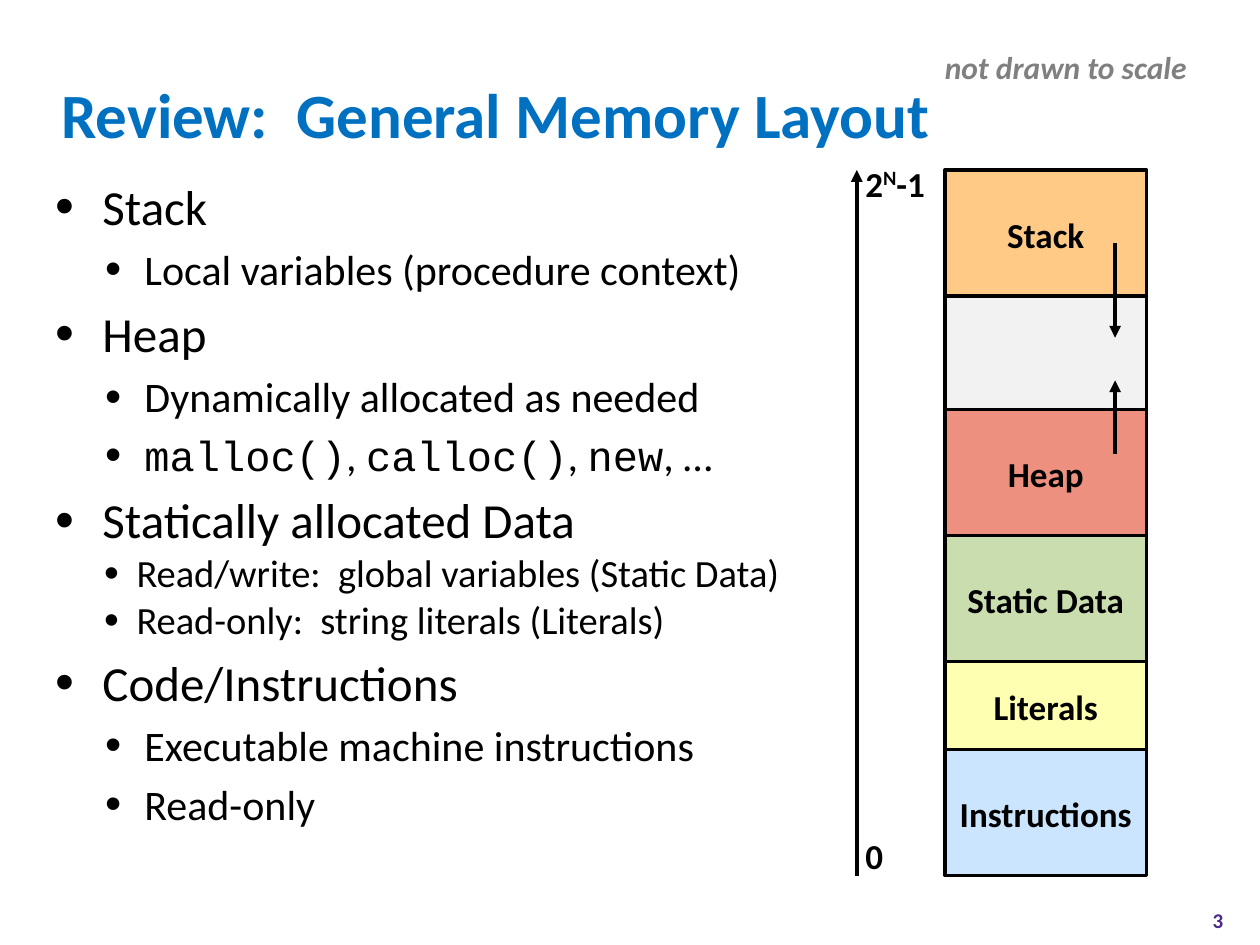
from lxml import etree
from pptx import Presentation
from pptx.dml.color import RGBColor
from pptx.enum.shapes import MSO_CONNECTOR, MSO_SHAPE
from pptx.enum.text import MSO_ANCHOR, PP_ALIGN
from pptx.oxml.ns import qn
from pptx.util import Pt

LINE = MSO_CONNECTOR.STRAIGHT
RECT = MSO_SHAPE.RECTANGLE
TOP, MID = MSO_ANCHOR.TOP, MSO_ANCHOR.MIDDLE
LEFT, MIDDLE = PP_ALIGN.LEFT, PP_ALIGN.CENTER
SANS, MONO = "Calibri", "Courier New"
BLACK = "000000"

LEFT_X, TOP_Y, WIDTH = 540, 97.2, 115.2
REGIONS = [
    ("Stack", 72, "FF950E", 50),
    ("", 64.8, "F2F2F2", 100),
    ("Heap", 72, "DC2300", 50),
    ("Static Data", 72, "94BD5E", 50),
    ("Literals", 50.4, "FFFF66", 50),
    ("Instructions", 72, "99CCFF", 50),
]

# Each style holds size, left margin, hanging indent and line spacing.
STYLES = {
    "head": (28, 27, 27, 1),
    "item": (24, 51, 22.5, 1),
    "tight": (22, 46.5, 18.5, 0.85),
}
POINTS = [
    ("head", ["Stack"]),
    ("item", ["Local variables (procedure context)"]),
    ("head", ["Heap"]),
    ("item", ["Dynamically allocated as needed"]),
    ("item", ["malloc()", ", ", "calloc()", ", ", "new", ", …"]),
    ("head", ["Statically allocated Data"]),
    ("tight", ["Read/write:  global variables (Static Data)"]),
    ("tight", ["Read-only:  string literals (Literals)"]),
    ("head", ["Code/Instructions"]),
    ("item", ["Executable machine instructions"]),
    ("item", ["Read-only"]),
]
CODE = {"malloc()", "calloc()", "new"}


def rgb(code):
    """Turn a hex string into a colour."""
    return RGBColor.from_string(code)


def sub(parent, tag, **attrs):
    """Append a DrawingML element with attributes."""
    node = etree.SubElement(parent, qn("a:" + tag))
    for key, value in attrs.items():
        node.set(key, str(value))
    return node


def write(para, text, size=20, color=BLACK, font=SANS, bold=True,
          italic=False, raised=0):
    """Add a formatted run to a paragraph."""
    run = para.add_run()
    run.text = text
    run.font.size = Pt(size)
    run.font.name = font
    run.font.bold = bold
    run.font.italic = italic
    run.font.color.rgb = rgb(color)
    if raised:
        run.font._element.set("baseline", str(raised * 1000))


def setup(frame, anchor=TOP, align=LEFT, wrap=False, inset=3.6):
    """Set up a text frame and return its first paragraph."""
    frame.word_wrap = wrap
    frame.vertical_anchor = anchor
    frame.margin_top = Pt(inset)
    para = frame.paragraphs[0]
    para.alignment = align
    return para


def box(slide, left, top, width, height, **layout):
    """Add a text box and return its first paragraph."""
    shape = slide.shapes.add_textbox(Pt(left), Pt(top), Pt(width), Pt(height))
    return setup(shape.text_frame, **layout)


def region(slide, top, name, height, color, alpha):
    """Add one block of the memory column."""
    shape = slide.shapes.add_shape(
        RECT, Pt(LEFT_X), Pt(top), Pt(WIDTH), Pt(height))
    shape.shadow.inherit = False
    shape.fill.solid()
    shape.fill.fore_color.rgb = rgb(color)
    if alpha < 100:
        fill = shape._element.spPr.find(qn("a:solidFill"))
        sub(fill[0], "alpha", val=alpha * 1000)
    shape.line.color.rgb = rgb(BLACK)
    shape.line.width = Pt(2)
    if name:
        para = setup(shape.text_frame, MID, MIDDLE, inset=5)
        write(para, name)


def arrow(slide, x, start, end):
    """Add a vertical arrow pointing to its end."""
    line = slide.shapes.add_connector(LINE, Pt(x), Pt(start), Pt(x), Pt(end))
    line.line.color.rgb = rgb(BLACK)
    line.line.width = Pt(2.25)
    sub(line.line._get_or_add_ln(), "tailEnd", type="triangle")
    sub(line._element.spPr, "effectLst")


def bullet(para, style, parts, first):
    """Fill a paragraph as a bullet in the named style."""
    size, margin, hang, spacing = STYLES[style]
    props = para._p.get_or_add_pPr()
    props.set("marL", str(Pt(margin)))
    props.set("indent", str(-Pt(hang)))
    sub(sub(props, "buClr"), "srgbClr", val=BLACK)
    sub(props, "buSzPct", val=110000)
    sub(props, "buFont", typeface="Arial")
    sub(props, "buChar", char="•")
    para.level = 0 if style == "head" else 1
    para.line_spacing = spacing
    if not first:
        para.space_before = Pt(size * 0.2)
    for part in parts:
        font = MONO if part in CODE else SANS
        write(para, part, size=size, font=font, bold=False)


def outline(slide):
    """Add the bulleted list."""
    para = box(slide, 24.5, TOP_Y, 665, 404, wrap=True)
    frame = para._parent
    for i, (style, parts) in enumerate(POINTS):
        if i:
            para = frame.add_paragraph()
        bullet(para, style, parts, i == 0)


def memory(slide):
    """Add the memory column with its address axis."""
    top = TOP_Y
    for name, height, color, alpha in REGIONS:
        region(slide, top, name, height, color, alpha)
        top += height
    arrow(slide, 637.2, 139, 193)
    arrow(slide, 637.2, 259.2, 217.4)
    arrow(slide, 489.6, top, TOP_Y)
    write(box(slide, 487.4, 471.6, 24.5, 27.4, inset=5), "0")
    para = box(slide, 487.4, 87.8, 49, 27.4, inset=5)
    write(para, "2")
    write(para, "N", raised=33)
    write(para, "-1")


def main():
    """Build the slide and save it."""
    deck = Presentation()
    deck.slide_width, deck.slide_height = Pt(720), Pt(540)
    slide = deck.slides.add_slide(deck.slide_layouts[6])
    title = box(slide, 28, 34.5, 662, 60, anchor=MID, wrap=True)
    write(title, "Review:  General Memory Layout", size=36, color="0070C0")
    outline(slide)
    number = box(slide, 672, 511, 48, 29, anchor=MID, align=MIDDLE, wrap=True)
    write(number, "3", size=12, color="4B2A85")
    note = box(slide, 532.8, 23.8, 153.5, 29)
    write(note, "not drawn to scale", size=18, color="808080", italic=True)
    memory(slide)
    deck.save("out.pptx")


if __name__ == "__main__":
    main()
